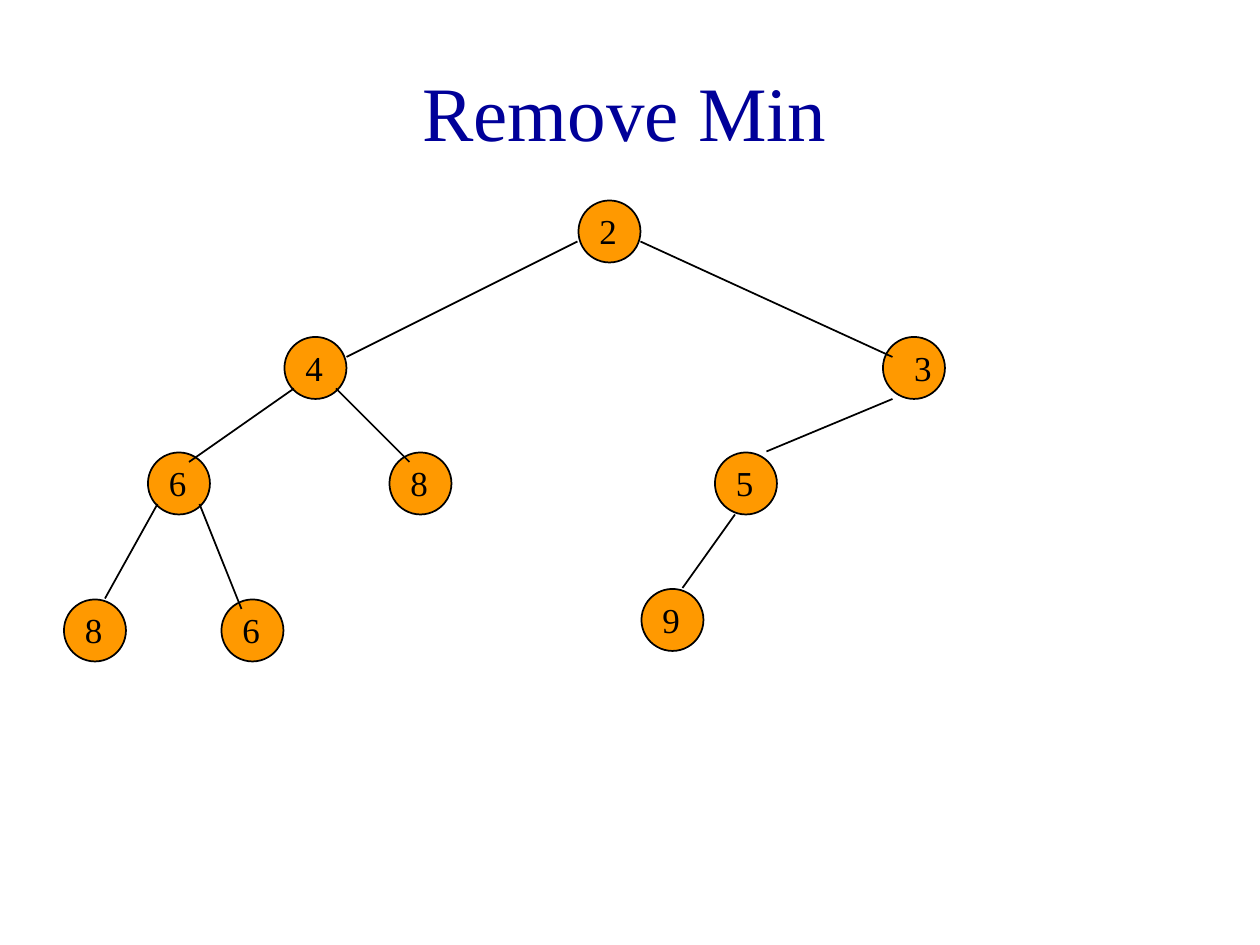
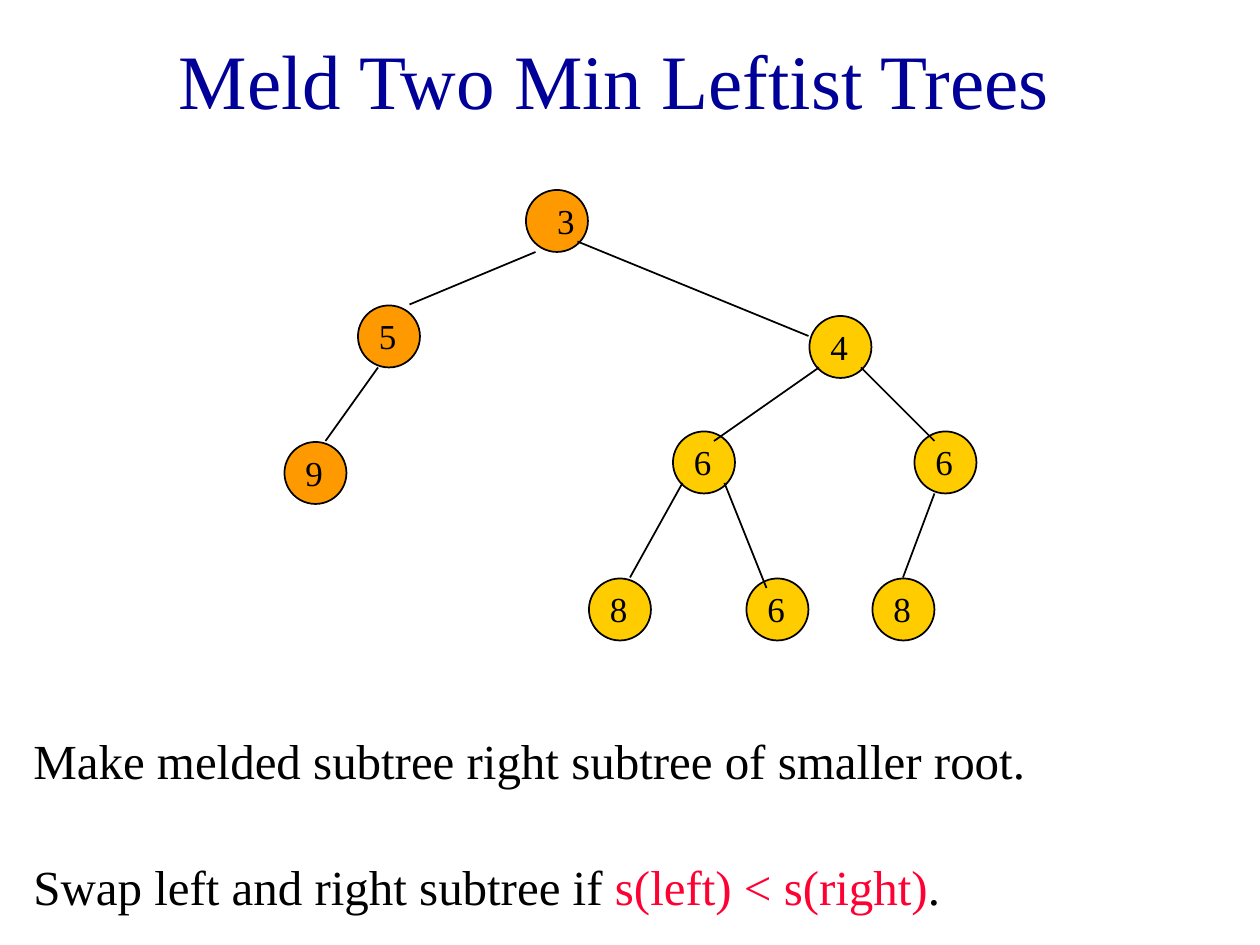
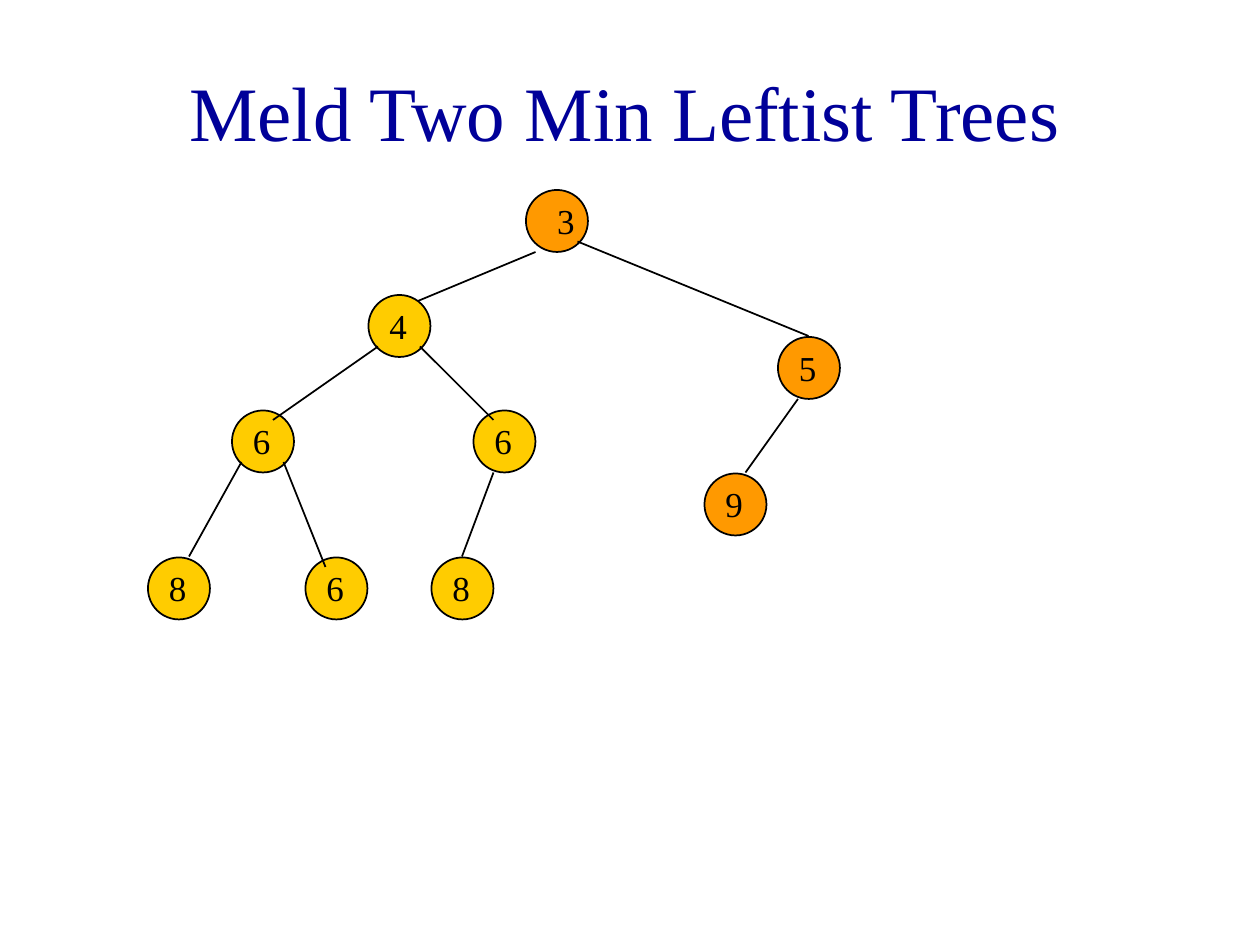
import pptx
import pptx.dml.color
import pptx.enum.shapes
import pptx.enum.text
import pptx.oxml.ns
import pptx.util
from lxml import etree

RGB = pptx.dml.color.RGBColor
Cm, Pt = pptx.util.Cm, pptx.util.Pt

NAVY = RGB(0x00, 0x00, 0x99)
BLACK = RGB(0x00, 0x00, 0x00)
ORANGE = RGB(0xFF, 0x99, 0x00)
GOLD = RGB(0xFF, 0xCC, 0x00)
RED = RGB(0xFF, 0x00, 0x33)

FONT = "Times New Roman"
TITLE = {"size": Pt(44), "name": FONT}
CAPTION = {"size": Pt(28), "name": FONT}
LABEL = {"size": Pt(20), "name": FONT}

# Subtrees, in twelfths of an inch from the top left of their root:
# nodes are (key, x, y), edges are (x1, y1, x2, y2)
FOUR_EDGES = [(1, 5, -9, 12), (5, 5, 12, 12), (-12, 16, -17, 25), (-8, 16, -4, 26)]
FOUR = {"nodes": [("4", 0, 0), ("6", -13, 11), ("8", 10, 11), ("8", -21, 25), ("6", -6, 25)],
        "edges": FOUR_EDGES}
FOUR_MELDED = {"nodes": [("4", 0, 0), ("6", -13, 11), ("6", 10, 11),
                         ("8", -21, 25), ("6", -6, 25), ("8", 6, 25)],
               "edges": FOUR_EDGES + [(12, 17, 9, 25)]}
FIVE = {"nodes": [("5", 0, 0), ("9", -7, 13)], "edges": [(2, 6, -3, 13)]}
THREE = {"nodes": [("3", 0, 0)], "edges": [(1, 6, -11, 11)]}
TWO = {"nodes": [("2", 0, 0)], "edges": [(0, 4, -22, 15), (6, 4, 30, 15)]}
RIGHT_LINK = {"nodes": [], "edges": [(5, 5, 27, 14)]}

# Each slide: title corner, groups of (subtree, root x, root y, fill), captions
SLIDES = [
    {"title": "Remove Min", "corner": (1, 3), "grouped": False,
     "parts": [[(FOUR, 27, 32, ORANGE), (THREE, 84, 32, ORANGE),
                (FIVE, 68, 43, ORANGE), (TWO, 55, 19, ORANGE)]],
     "captions": []},
    {"title": "Meld Two Min Leftist Trees", "corner": (0, 0), "grouped": True,
     "parts": [[(THREE, 50, 18, ORANGE), (FIVE, 34, 29, ORANGE)],
               [(FOUR_MELDED, 77, 30, GOLD)]],
     "link": (RIGHT_LINK, 50, 18, ORANGE),
     "captions": [
         (81, 98, [("Swap left and right subtree if ", BLACK),
                   ("s(left) < s(right)", RED), (".", BLACK)]),
         (69, 105, [("Make melded subtree right subtree of smaller root.", BLACK)])]},
    {"title": "Meld Two Min Leftist Trees", "corner": (1, 3), "grouped": False,
     "parts": [[(THREE, 50, 18, ORANGE), (FIVE, 74, 32, ORANGE),
                (FOUR_MELDED, 35, 28, GOLD)]],
     "link": (RIGHT_LINK, 50, 18, ORANGE),
     "captions": []},
]

NODE_SIZE = Cm(1.25)
NODE_INSET = Cm(0.02)
LABEL_SHIFT = {"3": Cm(0.38)}
LABEL_SHIFT_DEFAULT = Cm(0.17)


def grid(n):
    return Cm(n * 2.54 / 12)


def add_run(p, text, style, color):
    r = p.add_run()
    r.text = text
    for name, value in style.items():
        setattr(r.font, name, value)
    r.font.color.rgb = color


def outline(sp):
    sp.line.color.rgb = BLACK
    sp.line.width = Pt(1)


def add_node(shapes, key, x, y, fill):
    left, top = grid(x) + NODE_INSET, grid(y) + NODE_INSET
    sp = shapes.add_shape(pptx.enum.shapes.MSO_SHAPE.OVAL, left, top, NODE_SIZE, NODE_SIZE)
    sp.shadow.inherit = False
    sp.fill.solid()
    sp.fill.fore_color.rgb = fill
    outline(sp)
    shift = LABEL_SHIFT.get(key, LABEL_SHIFT_DEFAULT)
    tb = shapes.add_textbox(left + shift, top + Cm(0.06), Cm(0.86), Cm(1.1))
    tb.text_frame.word_wrap = False
    tb.text_frame.auto_size = pptx.enum.text.MSO_AUTO_SIZE.SHAPE_TO_FIT_TEXT
    add_run(tb.text_frame.paragraphs[0], key, LABEL, BLACK)


def add_edge(shapes, x1, y1, x2, y2):
    ln = shapes.add_connector(pptx.enum.shapes.MSO_CONNECTOR.STRAIGHT,
                              grid(x1), grid(y1), grid(x2), grid(y2))
    outline(ln)
    etree.SubElement(ln._element.spPr, pptx.oxml.ns.qn("a:effectLst"))


def add_subtree(shapes, tree, x, y, fill):
    for key, dx, dy in tree["nodes"]:
        add_node(shapes, key, x + dx, y + dy, fill)
    for x1, y1, x2, y2 in tree["edges"]:
        add_edge(shapes, x + x1, y + y1, x + x2, y + y2)


def add_title(slide, text, corner):
    sp = slide.shapes.title
    sp.left, sp.top = map(grid, corner)
    sp.width, sp.height = grid(117), grid(15)
    tf = sp.text_frame
    tf.vertical_anchor = pptx.enum.text.MSO_ANCHOR.MIDDLE
    p = tf.paragraphs[0]
    p.alignment = pptx.enum.text.PP_ALIGN.CENTER
    add_run(p, text, TITLE, NAVY)


def add_caption(slide, y, width, runs):
    tb = slide.shapes.add_textbox(grid(2), grid(y), grid(width), Cm(1.45))
    tf = tb.text_frame
    tf.word_wrap = True
    tf.auto_size = pptx.enum.text.MSO_AUTO_SIZE.SHAPE_TO_FIT_TEXT
    p = tf.paragraphs[0]
    p.space_before = Pt(17.5)
    for text, color in runs:
        add_run(p, text, CAPTION, color)


def main():
    prs = pptx.Presentation()
    prs.slide_width, prs.slide_height = Cm(25.4), Cm(19.05)
    for content in SLIDES:
        slide = prs.slides.add_slide(prs.slide_layouts[5])
        add_title(slide, content["title"], content["corner"])
        # Trees
        for part in content["parts"]:
            shapes = slide.shapes
            if content["grouped"]:
                shapes = shapes.add_group_shape().shapes
            for subtree in part:
                add_subtree(shapes, *subtree)
        if "link" in content:
            add_subtree(slide.shapes, *content["link"])
        # Explanations
        for caption in content["captions"]:
            add_caption(slide, *caption)
    prs.save("out.pptx")


if __name__ == "__main__":
    main()
